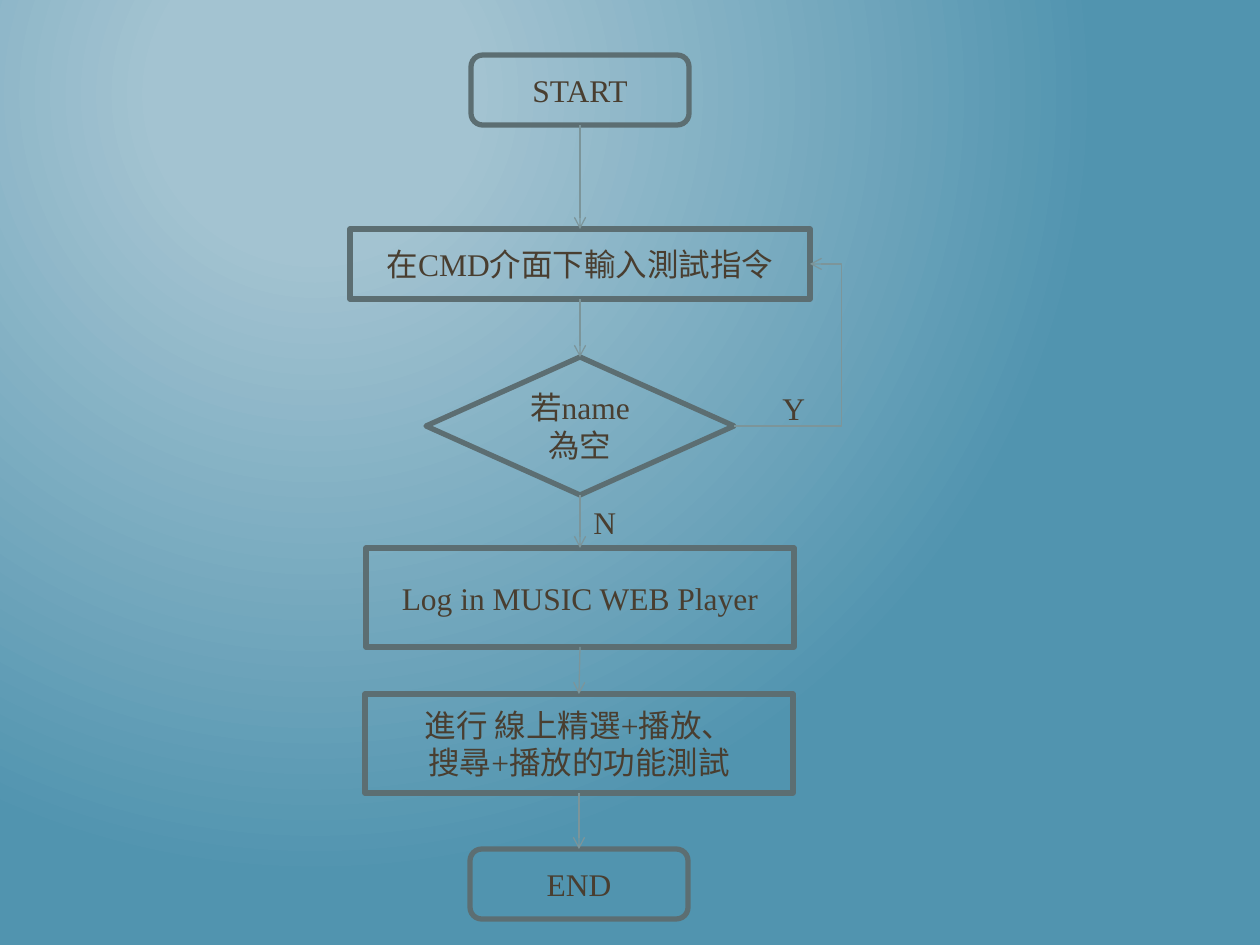
from dataclasses import dataclass

from lxml.etree import SubElement
from pptx import Presentation
from pptx.dml.color import RGBColor
from pptx.enum.shapes import MSO_CONNECTOR, MSO_SHAPE
from pptx.enum.text import MSO_ANCHOR, MSO_AUTO_SIZE, PP_ALIGN
from pptx.oxml.ns import qn
from pptx.util import Inches, Pt


@dataclass(frozen=True)
class Theme:
    glow: RGBColor = RGBColor.from_string("A3C3D1")
    backdrop: RGBColor = RGBColor.from_string("5194AF")
    outline: RGBColor = RGBColor.from_string("5C6E72")
    arrow: RGBColor = RGBColor.from_string("7C959A")
    text: RGBColor = RGBColor.from_string("493E30")
    font: str = "Times New Roman"
    text_size: Pt = Pt(18)
    outline_width: Pt = Pt(3)
    arrow_width: Pt = Pt(0.75)


theme = Theme()
PX = Inches(1) / 126


def emu(*pixels):
    return [round(value * PX) for value in pixels]


def write(frame, lines, alignment):
    for index, line in enumerate(lines):
        para = frame.paragraphs[0] if index == 0 else frame.add_paragraph()
        para.alignment = alignment
        span = para.add_run()
        span.text = line
        span.font.name = theme.font
        span.font.size = theme.text_size
        span.font.color.rgb = theme.text


deck = Presentation()
deck.slide_width, deck.slide_height = emu(1260, 945)
page = deck.slides.add_slide(deck.slide_layouts[6])

# Radial background, brightest at the upper left
fill = page.background.fill
fill.gradient()
for stop, position, color in zip(
    fill.gradient_stops, (0.2, 1), (theme.glow, theme.backdrop)
):
    stop.position = position
    stop.color.rgb = color
linear = page.element.find(".//" + qn("a:lin"))
gradient = linear.getparent()
gradient.remove(linear)
circle = SubElement(gradient, qn("a:path"), path="circle")
SubElement(circle, qn("a:fillToRect"), l="50000", t="20000", r="100000", b="100000")

# Flowchart steps: name, shape, centre x, top, width, height, lines
steps = [
    ("start", MSO_SHAPE.FLOWCHART_ALTERNATE_PROCESS, 580, 55, 218, 70, ["START"]),
    ("command", MSO_SHAPE.FLOWCHART_PROCESS, 580, 229, 460, 70,
     ["在CMD介面下輸入測試指令"]),
    ("check", MSO_SHAPE.FLOWCHART_DECISION, 580, 357, 308, 138, ["若name為空"]),
    ("login", MSO_SHAPE.RECTANGLE, 580, 548, 428, 99, ["Log in MUSIC WEB Player"]),
    ("test", MSO_SHAPE.RECTANGLE, 579, 694, 428, 99,
     ["進行 線上精選+播放、", "搜尋+播放的功能測試"]),
    ("end", MSO_SHAPE.FLOWCHART_ALTERNATE_PROCESS, 579, 849, 218, 70, ["END"]),
]
boxes = {}
for name, kind, center, top, width, height, lines in steps:
    box = page.shapes.add_shape(kind, *emu(center - width // 2, top, width, height))
    box.shadow.inherit = False
    box.fill.background()
    box.line.color.rgb = theme.outline
    box.line.width = theme.outline_width
    box.text_frame.word_wrap = True
    box.text_frame.vertical_anchor = MSO_ANCHOR.MIDDLE
    write(box.text_frame, lines, PP_ALIGN.CENTER)
    boxes[name] = box

# Arrows down from step to step, then the loop back to the command
BOTTOM, TOP, RIGHT = 2, 0, 3
names = list(boxes)
links = [
    (MSO_CONNECTOR.STRAIGHT, source, BOTTOM, target, TOP)
    for source, target in zip(names, names[1:])
]
links.append((MSO_CONNECTOR.ELBOW, "check", RIGHT, "command", RIGHT))
for kind, source, exit_site, target, entry_site in links:
    link = page.shapes.add_connector(kind, 0, 0, 0, 0)
    link.begin_connect(boxes[source], exit_site)
    link.end_connect(boxes[target], entry_site)
    link.line.color.rgb = theme.arrow
    link.line.width = theme.arrow_width
    SubElement(link.line._get_or_add_ln(), qn("a:tailEnd"), type="arrow")
    properties = link._element.spPr
    SubElement(properties, qn("a:effectLst"))
    if kind == MSO_CONNECTOR.ELBOW:
        adjustments = properties.find(".//" + qn("a:avLst"))
        SubElement(adjustments, qn("a:gd"), name="adj1", fmla="val 141500")

# Branch labels
for label, left, top in [("Y", 770, 383), ("N", 581, 497)]:
    box = page.shapes.add_textbox(*emu(left, top, 490, 51))
    box.text_frame.word_wrap = True
    box.text_frame.auto_size = MSO_AUTO_SIZE.SHAPE_TO_FIT_TEXT
    write(box.text_frame, [label], PP_ALIGN.LEFT)

deck.save("out.pptx")
